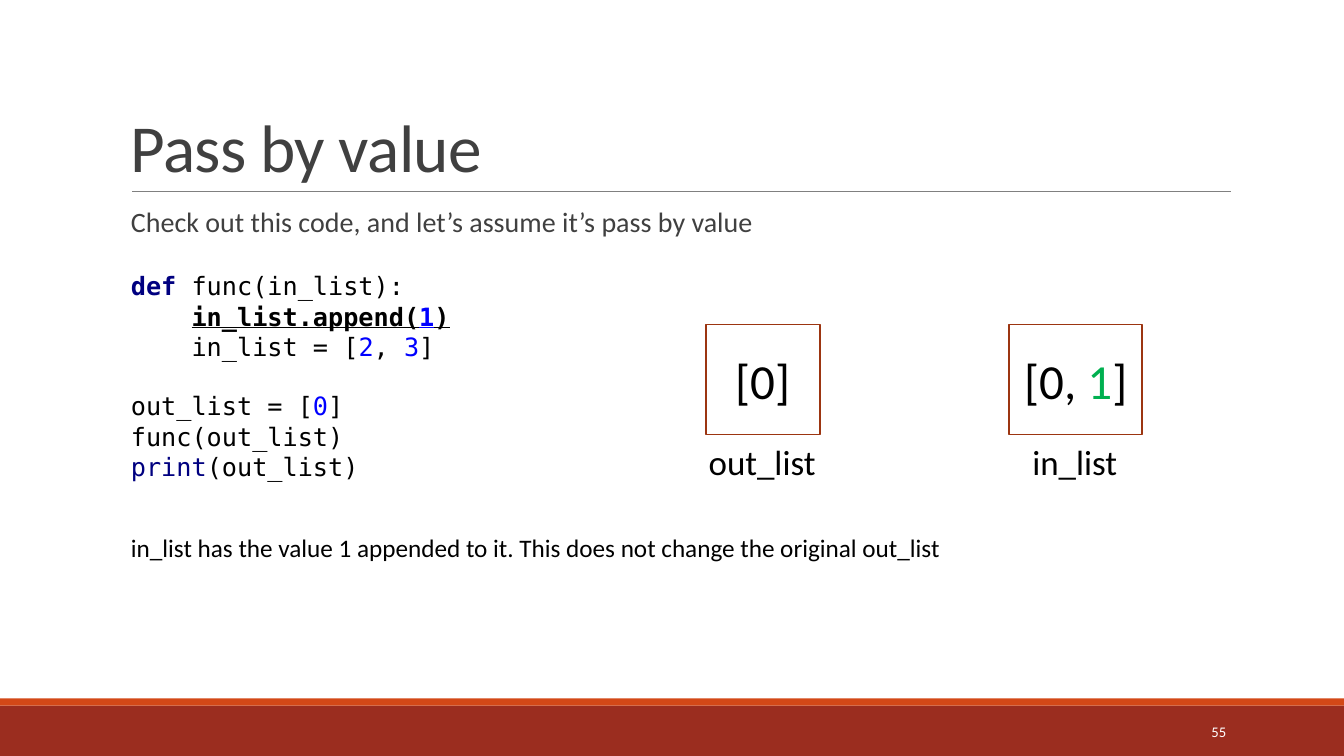
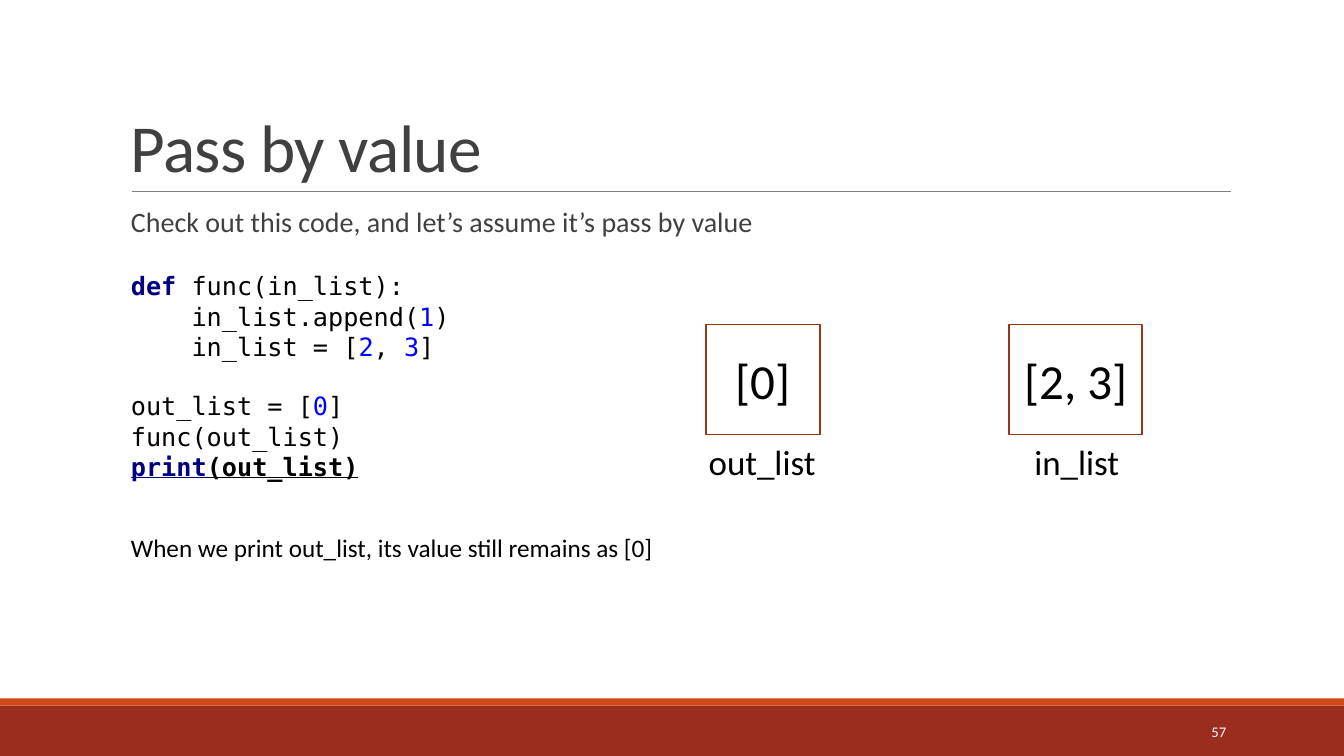
import dataclasses
import typing

import pptx
import pptx.dml.color
import pptx.enum.shapes
import pptx.enum.text
import pptx.oxml.ns
import pptx.util
from lxml import etree

EMU_PER_PX = 9144
SLIDE_WIDTH, SLIDE_HEIGHT = 1333, 750
COLORS = {
    "footer": "9B2D1F",
    "accent": "D34817",
    "rule": "808080",
    "heading": "404040",
    "text": "000000",
    "keyword": "000080",
    "number": "0000FF",
    "box": "9C3511",
    "new": "00B050",
    "page": "FFFFFF",
}
BODY_FONT = "Calibri"
CODE_FONT = "DejaVu Sans Mono"
CODE_SIZE = 18
BLANK_LINE = 21
ALIGN = pptx.enum.text.PP_ALIGN
ANCHOR = pptx.enum.text.MSO_ANCHOR


@dataclasses.dataclass(frozen=True)
class Area:
    left: int
    top: int
    width: int
    height: int


@dataclasses.dataclass(frozen=True)
class Token:
    text: str
    color: str = "text"
    bold: bool = False


@dataclasses.dataclass(frozen=True)
class CodeLine:
    tokens: tuple[Token, ...]
    gap_before: int = 0


@dataclasses.dataclass(frozen=True)
class Variable:
    name: str
    value: tuple[Token, ...]
    box: Area
    label: Area


@dataclasses.dataclass(frozen=True)
class Step:
    number: str
    active_line: int
    in_list: tuple[Token, ...]
    label_left: int
    caption: str


INDENT = Token("    ")
CODE = (
    CodeLine((Token("def ", "keyword", True), Token("func(in_list):"))),
    CodeLine((INDENT, Token("in_list.append("), Token("1", "number"), Token(")"))),
    CodeLine((INDENT, Token("in_list = ["), Token("2", "number"), Token(", "),
              Token("3", "number"), Token("]"))),
    CodeLine((Token("out_list = ["), Token("0", "number"), Token("]")), BLANK_LINE),
    CodeLine((Token("func(out_list)"),)),
    CodeLine((Token("print", "keyword"), Token("(out_list)"))),
)
OUT_LIST = Variable("out_list", (Token("[0]"),),
                    Area(700, 322, 113, 109), Area(693, 432, 127, 52))
STEPS = (
    Step("55", 1, (Token("[0, "), Token("1", "new"), Token("]")), 1014,
         "in_list has the value 1 appended to it. "
         "This does not change the original out_list"),
    Step("57", 5, (Token("[2, 3]"),), 1016,
         "When we print out_list, its value still remains as [0]"),
)


def px(value: int) -> pptx.util.Emu:
    return pptx.util.Emu(value * EMU_PER_PX)


def rgb(name: str) -> pptx.dml.color.RGBColor:
    return pptx.dml.color.RGBColor.from_string(COLORS[name])


def bounds(area: Area) -> tuple[pptx.util.Emu, ...]:
    return px(area.left), px(area.top), px(area.width), px(area.height)


def add_run(paragraph: typing.Any, text: str, *, size: float, color: str = "text",
            font: str = BODY_FONT, bold: bool = False, underline: bool = False,
            spacing: int = 0) -> None:
    run = paragraph.add_run()
    run.text = text
    run.font.name = font
    run.font.size = pptx.util.Pt(size)
    run.font.bold = bold
    run.font.underline = underline
    run.font.color.rgb = rgb(color)
    if spacing:
        run.font._element.set("spc", str(spacing))


def add_text_box(slide: typing.Any, area: Area, *, anchor: typing.Any = ANCHOR.TOP,
                 wrap: bool = True) -> typing.Any:
    frame = slide.shapes.add_textbox(*bounds(area)).text_frame
    frame.word_wrap = wrap
    frame.vertical_anchor = anchor
    return frame


def add_text(slide: typing.Any, area: Area, text: str, *,
             anchor: typing.Any = ANCHOR.TOP, align: typing.Any = ALIGN.LEFT,
             wrap: bool = True, line_spacing: float = 1.0, **font: typing.Any) -> None:
    paragraph = add_text_box(slide, area, anchor=anchor, wrap=wrap).paragraphs[0]
    paragraph.alignment = align
    paragraph.line_spacing = line_spacing
    add_run(paragraph, text, **font)


def add_rectangle(slide: typing.Any, area: Area, *, fill: str | None = None,
                  line: str | None = None) -> typing.Any:
    shape = slide.shapes.add_shape(
        pptx.enum.shapes.MSO_SHAPE.RECTANGLE, *bounds(area))
    shape.shadow.inherit = False
    if fill:
        shape.fill.solid()
        shape.fill.fore_color.rgb = rgb(fill)
    else:
        shape.fill.background()
    if line:
        shape.line.color.rgb = rgb(line)
        shape.line.width = pptx.util.Pt(1.25)
    else:
        shape.line.fill.background()
    return shape


def add_rule(slide: typing.Any, left: int, right: int, top: int) -> None:
    connector = slide.shapes.add_connector(
        pptx.enum.shapes.MSO_CONNECTOR.STRAIGHT, px(left), px(top), px(right), px(top))
    connector.line.color.rgb = rgb("rule")
    connector.line.width = pptx.util.Pt(0.5)
    etree.SubElement(connector._element.spPr, pptx.oxml.ns.qn("a:effectLst"))


def add_frame(slide: typing.Any, number: str) -> None:
    add_rectangle(slide, Area(0, 700, SLIDE_WIDTH, 50), fill="footer")
    add_rectangle(slide, Area(0, 693, SLIDE_WIDTH, 7), fill="accent")
    add_rule(slide, 131, 1221, 190)
    add_text(slide, Area(120, 31, 1100, 159), "Pass by value", size=48,
             color="heading", spacing=-50, anchor=ANCHOR.BOTTOM, line_spacing=0.85)
    add_text(slide, Area(120, 202, 1100, 60),
             "Check out this code, and let’s assume it’s pass by value",
             size=20, color="heading", line_spacing=0.9)
    add_text(slide, Area(1083, 706, 143, 40), number, size=10.5, color="page",
             anchor=ANCHOR.MIDDLE, align=ALIGN.RIGHT)


def add_code(slide: typing.Any, active_line: int) -> None:
    frame = add_text_box(slide, Area(120, 262, 466, 222), anchor=ANCHOR.MIDDLE)
    for index, line in enumerate(CODE):
        paragraph = frame.add_paragraph() if index else frame.paragraphs[0]
        if line.gap_before:
            paragraph.space_before = pptx.util.Pt(line.gap_before)
        for token in line.tokens:
            active = index == active_line and token is not INDENT
            add_run(paragraph, token.text, size=CODE_SIZE, font=CODE_FONT,
                    color=token.color, bold=active or token.bold, underline=active)


def add_variable(slide: typing.Any, variable: Variable) -> None:
    frame = add_rectangle(slide, variable.box, line="box").text_frame
    frame.vertical_anchor = ANCHOR.MIDDLE
    paragraph = frame.paragraphs[0]
    paragraph.alignment = ALIGN.CENTER
    for token in variable.value:
        add_run(paragraph, token.text, size=35, color=token.color)
    add_text(slide, variable.label, variable.name, size=25, wrap=False)


def add_step(presentation: typing.Any, step: Step) -> None:
    slide = presentation.slides.add_slide(presentation.slide_layouts[6])
    add_frame(slide, step.number)
    add_code(slide, step.active_line)
    in_list = Variable("in_list", step.in_list, Area(1001, 322, 132, 109),
                       Area(step.label_left, 432, 105, 52))
    for variable in (OUT_LIST, in_list):
        add_variable(slide, variable)
    add_text(slide, Area(120, 523, 1106, 40), step.caption, size=18)


def main() -> None:
    presentation = pptx.Presentation()
    presentation.slide_width = px(SLIDE_WIDTH)
    presentation.slide_height = px(SLIDE_HEIGHT)
    for step in STEPS:
        add_step(presentation, step)
    presentation.save("out.pptx")


if __name__ == "__main__":
    main()
